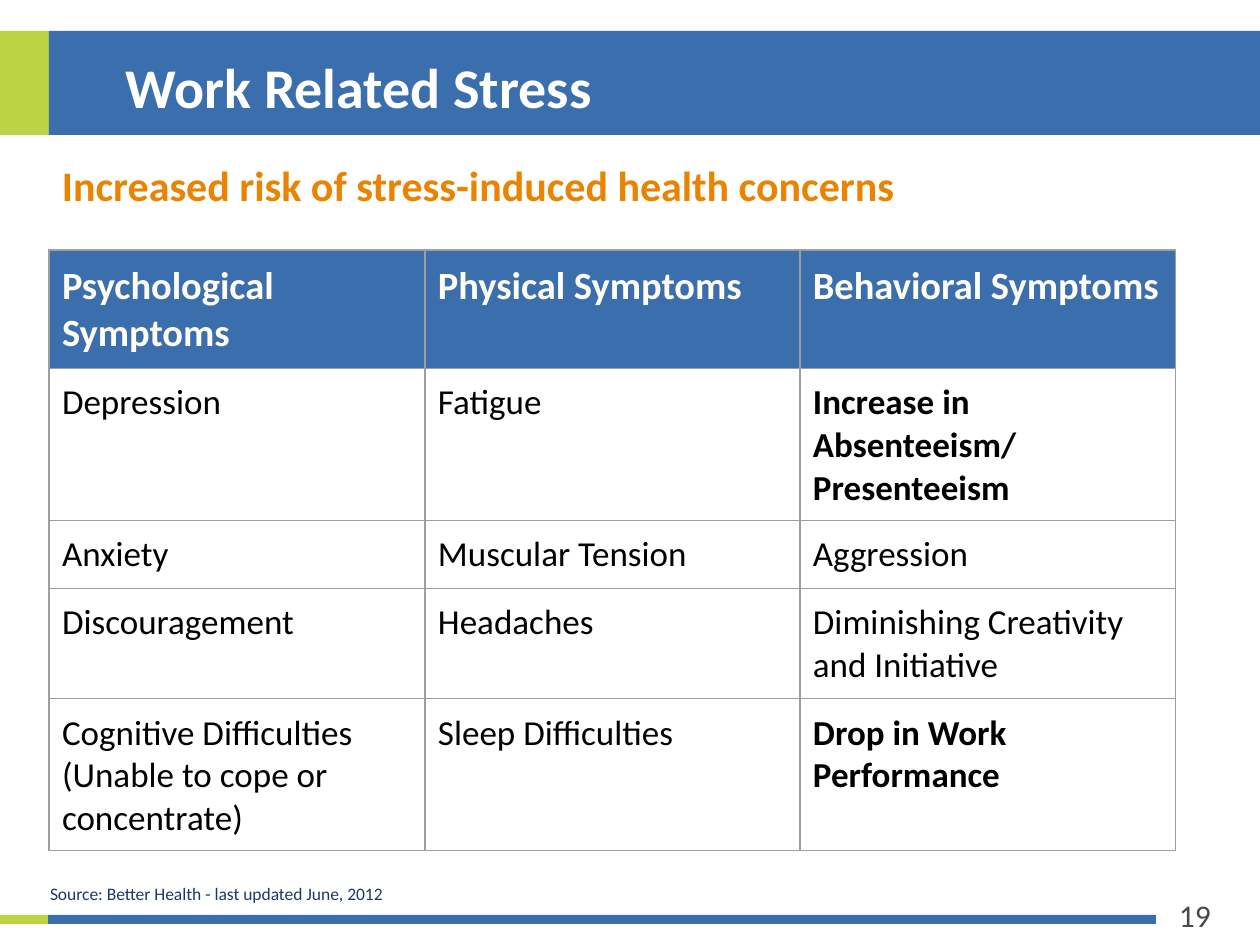
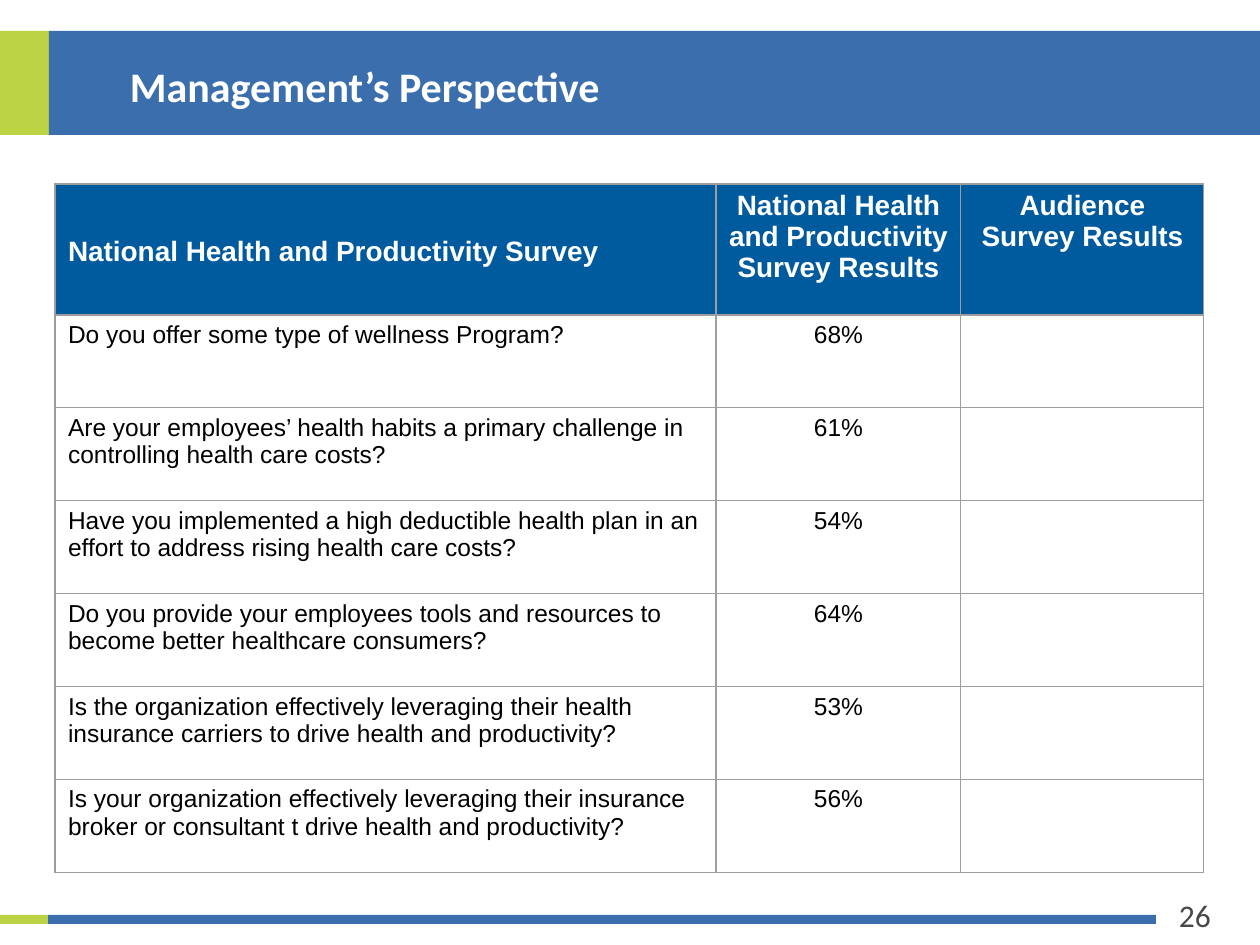
from lxml import etree
from pptx import Presentation
from pptx.dml.color import RGBColor
from pptx.enum import shapes, text
from pptx.oxml.ns import qn
from pptx.util import Pt

PX = 914400 // 126  # one px in EMU

COLORS = dict(blue="3B6EAC", green="BCD343", deep="005A9E", navy="1C3868",
              orange="E98300", cream="FFFCF0", white="FFFFFF",
              black="000000", grey="484848", rule="9E9E9E")

# Content: a cell is a string, or a list of paragraphs when it is bold
SYMPTOMS = [
    ("Psychological Symptoms", "Physical Symptoms", "Behavioral Symptoms"),
    ("Depression", "Fatigue", ["Increase in Absenteeism/", "Presenteeism"]),
    ("Anxiety", "Muscular Tension", "Aggression"),
    ("Discouragement", "Headaches", "Diminishing Creativity and Initiative"),
    ("Cognitive Difficulties (Unable to cope or concentrate)",
     "Sleep Difficulties", ["Drop in Work Performance"]),
]
SURVEY = [
    ("National Health and Productivity Survey",
     "National Health and Productivity Survey Results",
     "Audience Survey Results"),
    ("Do you offer some type of wellness Program?", "68%", ""),
    ("Are your employees’ health habits a primary challenge in "
     "controlling health care costs?", "61%", ""),
    ("Have you implemented a high deductible health plan in an effort "
     "to address rising health care costs?", "54%", ""),
    ("Do you provide your employees tools and resources to become "
     "better healthcare consumers?", "64%", ""),
    ("Is the organization effectively leveraging their health insurance "
     "carriers to drive health and productivity?", "53%", ""),
    ("Is your organization effectively leveraging their insurance broker "
     "or consultant t drive health and productivity?", "56%", ""),
]

# Shared bands: left, top, width, height, colour
BANDS = [(0, 31, 49, 104, "green"), (49, 31, 1211, 104, "blue"),
         (-1, 915, 49, 9, "green"), (48, 915, 1108, 9, "blue")]


def emu(*lengths):
    return [n * PX for n in lengths]


def add_run(p, words, size, color, bold=False, font="Calibri"):
    r = p.add_run()
    r.text = words
    r.font.name, r.font.size, r.font.bold = font, Pt(size), bold
    r.font.color.rgb = RGBColor.from_string(COLORS[color])


def add_text(slide, box, words, size, color, bold=False, pad=(0, 1, 0, 0)):
    tf = slide.shapes.add_textbox(*emu(*box)).text_frame
    tf.word_wrap = True
    tf.margin_left, tf.margin_top, tf.margin_right, tf.margin_bottom = emu(*pad)
    p = tf.paragraphs[0]
    add_run(p, words, size, color, bold)
    return p


def add_base(prs, number):
    slide = prs.slides.add_slide(prs.slide_layouts[6])
    for *box, color in BANDS:
        sp = slide.shapes.add_shape(shapes.MSO_SHAPE.RECTANGLE, *emu(*box))
        sp.shadow.inherit = False
        sp.fill.solid()
        sp.fill.fore_color.rgb = RGBColor.from_string(COLORS[color])
        sp.line.fill.background()
    add_text(slide, (1166, 890, 74, 50), number, 18, "grey", pad=(13, 6, 13, 6))
    return slide


def add_borders(cell):
    tc_pr = cell._tc.get_or_add_tcPr()
    for side in ("lnL", "lnR", "lnT", "lnB"):
        ln = etree.SubElement(tc_pr, qn(f"a:{side}"), w=str(Pt(0.75)))
        fill = etree.SubElement(ln, qn("a:solidFill"))
        etree.SubElement(fill, qn("a:srgbClr"), val=COLORS["rule"])


def add_grid(slide, left, top, widths, heights, rows, head, body, font,
             pad_y, centered=()):
    """head is (size, colour, fill); body is the text size."""
    frame = slide.shapes.add_table(
        len(rows), len(widths), *emu(left, top, sum(widths), sum(heights)))
    table = frame.table
    table.first_row = table.horz_banding = False
    for col, width in zip(table.columns, widths):
        col.width = width * PX
    for i, (height, row) in enumerate(zip(heights, rows)):
        table.rows[i].height = height * PX
        for j, content in enumerate(row):
            cell = table.cell(i, j)
            add_borders(cell)
            cell.margin_left = cell.margin_right = 13 * PX
            cell.margin_top = cell.margin_bottom = pad_y * PX
            if i == 0:
                size, color, fill = head
                cell.fill.solid()
                cell.fill.fore_color.rgb = RGBColor.from_string(COLORS[fill])
            else:
                size, color = body, "black"
                cell.fill.background()
            strong = isinstance(content, list)
            tf = cell.text_frame
            for k, words in enumerate(content if strong else [content]):
                p = tf.add_paragraph() if k else tf.paragraphs[0]
                if j in centered:
                    p.alignment = text.PP_ALIGN.CENTER
                if words:
                    add_run(p, words, size, color, strong or i == 0, font)
    return table


def stress_slide(prs):
    slide = add_base(prs, "19")
    add_grid(slide, 49, 250, [376, 375, 376], [112, 145, 64, 105, 145],
             SYMPTOMS, (22, "cream", "blue"), 20, "Calibri", 13)
    add_text(slide, (50, 882, 475, 24),
             "Source: Better Health - last updated June, 2012", 10, "navy")
    add_text(slide, (49, 146, 1063, 83),
             "Increased risk of stress-induced health concerns",
             24, "orange", True, (13, 13, 13, 13))
    add_text(slide, (126, 52, 973, 94), "Work Related Stress", 32, "white", True)


def survey_slide(prs):
    slide = add_base(prs, "26")
    title = add_text(slide, (117, 60, 747, 69), "Management’s Perspective",
                     24, "white", True, (13, 6, 13, 6))
    title.line_spacing = 0.9
    table = add_grid(slide, 55, 184, [661, 245, 243], [131] + [93] * 6,
                     SURVEY, (16, "white", "deep"), 14, "Arial", 6, (1, 2))
    table.cell(0, 0).text_frame.paragraphs[0].line_spacing = 2.5


def main():
    prs = Presentation()
    prs.slide_width, prs.slide_height = emu(1260, 945)
    stress_slide(prs)
    survey_slide(prs)
    prs.save("out.pptx")


if __name__ == "__main__":
    main()
